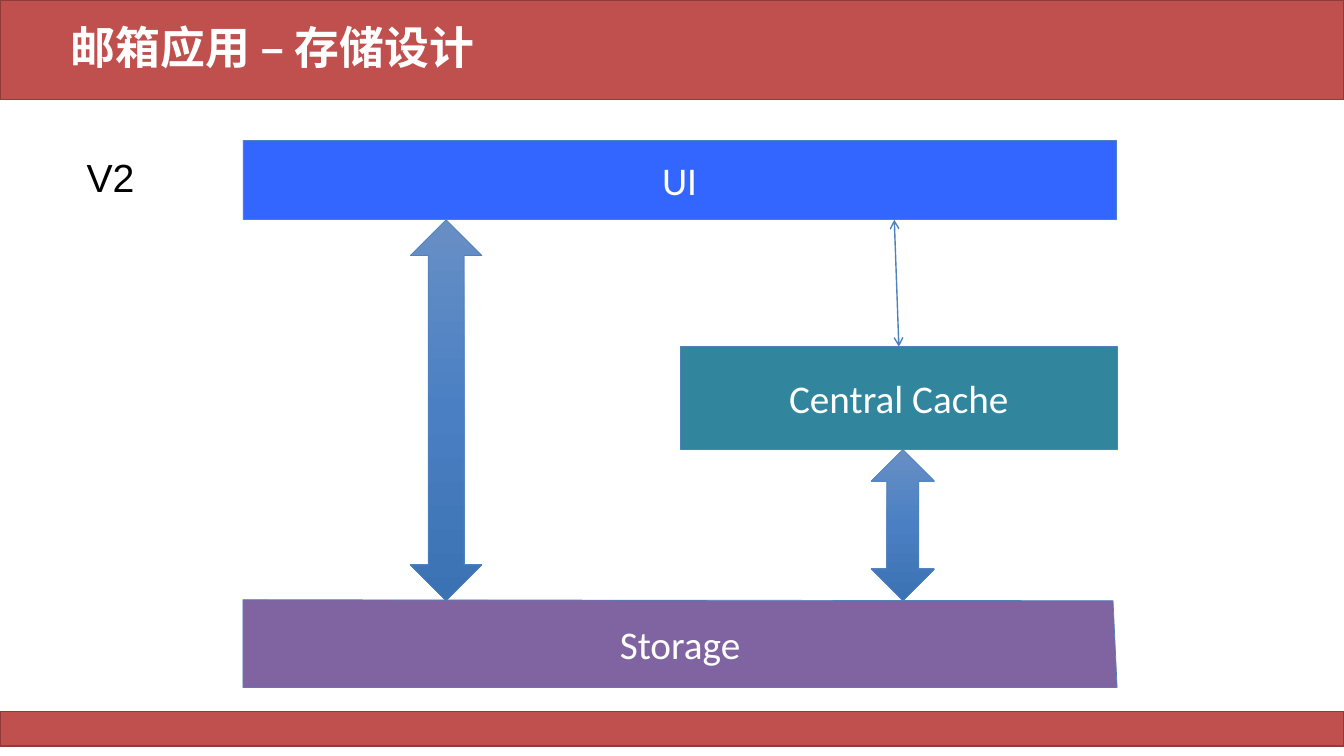
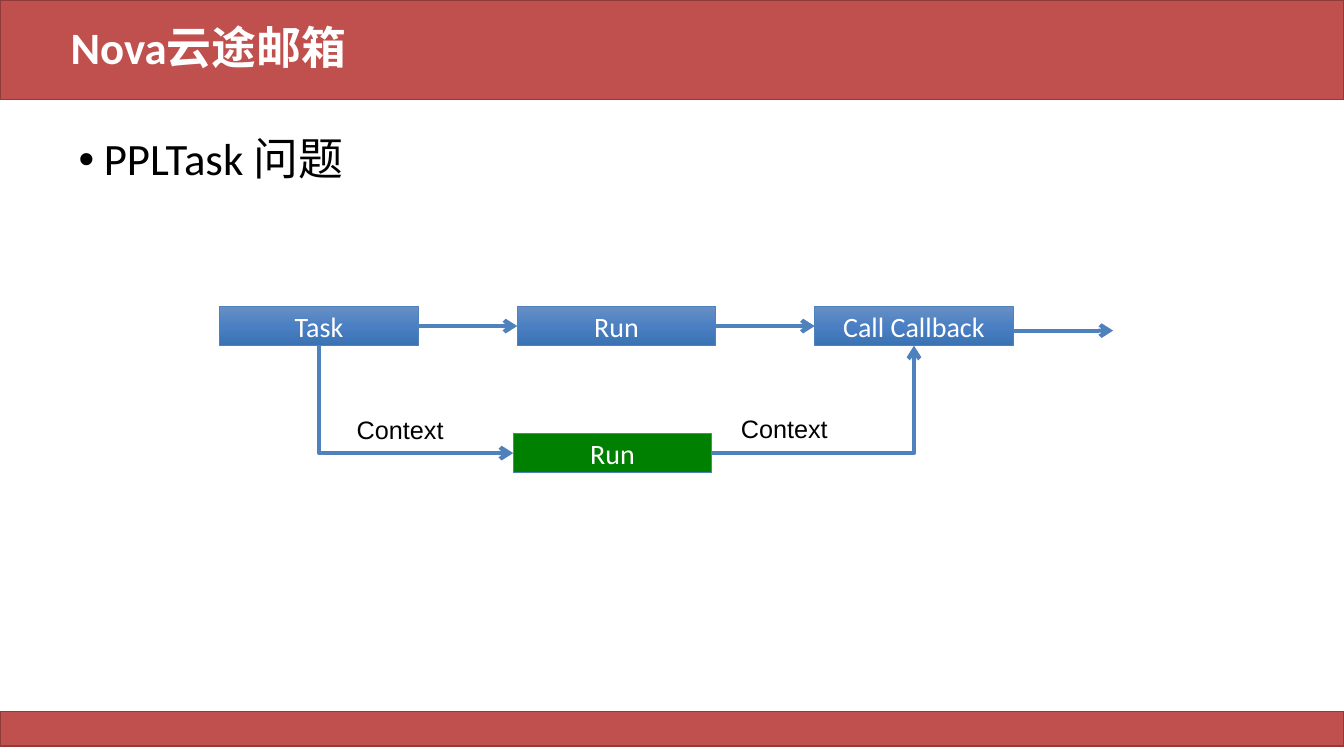
import copy

import pptx
import pptx.util
import pptx.dml.color
import pptx.enum.shapes
import pptx.enum.text
import pptx.oxml
import pptx.oxml.ns

Pt = pptx.util.Pt
RGB = pptx.dml.color.RGBColor
SHAPE = pptx.enum.shapes.MSO_SHAPE
CONNECTOR = pptx.enum.shapes.MSO_CONNECTOR
ALIGN = pptx.enum.text.PP_ALIGN
ANCHOR = pptx.enum.text.MSO_ANCHOR
FIT = pptx.enum.text.MSO_AUTO_SIZE

PX = 9144
WIDTH, HEIGHT = 1333, 750
TOP, LEFT, BOTTOM, RIGHT = range(4)

WHITE = RGB(0xFF, 0xFF, 0xFF)
BLACK = RGB(0x00, 0x00, 0x00)
RED = RGB(0xC0, 0x50, 0x4D)
DARK_RED = RGB(0x8E, 0x3B, 0x39)
LINE_BLUE = RGB(0x4F, 0x81, 0xBD)
UI_BLUE = RGB(0x33, 0x66, 0xFF)
TEAL = RGB(0x31, 0x85, 0x9C)
PURPLE = RGB(0x80, 0x64, 0xA2)
GREEN = RGB(0x00, 0x80, 0x00)
BLUE_GRADIENT = [
    (0, RGB(0x68, 0x8F, 0xC5)),
    (0.5, RGB(0x4A, 0x80, 0xC3)),
    (1, RGB(0x3B, 0x72, 0xB3)),
]

BANDS = [(0, 0, WIDTH, 99), (0, 706, WIDTH, 34)]
TITLE_AREA = (60, 20, 1150, 59)
BODY_AREA = (68, 131, 1228, 528)

STORAGE_TITLE = "邮箱应用 – 存储设计"
LAYERS = [("UI", (241, 139, 866, 79), UI_BLUE),
          ("Central Cache", (675, 344, 433, 102), TEAL)]
STORAGE_OUTLINE = [(241, 595), (1104, 596), (1108, 682), (241, 682)]
BLOCK_ARROWS = [(407, 218, 71, 378), (864, 446, 63, 150)]
UI_LINK_POINT = (887, 218)
VERSION_LABEL = ("V2", (76, 147, 68, 57))

TASK_TITLE = "Nova云途邮箱"
TASK_BULLETS = ["PPLTask 问题"]
STEPS = ["Task", "Run", "Call Callback"]
STEP_LEFT, STEP_TOP, STEP_PITCH = 218, 304, 295
STEP_SIZE = (197, 39)
CONTEXT_RUN = ("Run", (509, 430))
EXIT_ARROW = ((1005, 328), (1104, 328))
CONTEXT_LABELS = [("Context", (344, 406, 110, 40)), ("Context", (725, 405, 110, 40))]


def emu(lengths):
    return [round(length * PX) for length in lengths]


def move(item, area):
    item.left, item.top, item.width, item.height = emu(area)


def write(para, text, size, colour, font="Calibri", bold=False):
    span = para.add_run()
    span.text = text
    span.font.name = font
    span.font.size = Pt(size)
    span.font.bold = bold
    span.font.color.rgb = colour


def paint(shape, fill, line=LINE_BLUE, weight=0.5):
    shape.shadow.inherit = False
    shape.line.color.rgb = line
    shape.line.width = Pt(weight)
    if isinstance(fill, list):
        shape.fill.gradient()
        shape.fill.gradient_angle = 270
        stops = shape._element.xpath(".//a:gsLst")[0]
        stops.append(copy.deepcopy(stops[0]))
        for stop, (position, colour) in zip(shape.fill.gradient_stops, fill):
            stop.position = position
            stop.color.rgb = colour
    else:
        shape.fill.solid()
        shape.fill.fore_color.rgb = fill


def add_caption(shape, text, size):
    frame = shape.text_frame
    frame.word_wrap = True
    frame.vertical_anchor = ANCHOR.MIDDLE
    para = frame.paragraphs[0]
    para.alignment = ALIGN.CENTER
    write(para, text, size, WHITE)


def add_preset(page, preset, area, fill, line=LINE_BLUE, weight=0.5):
    shape = page.shapes.add_shape(preset, *emu(area))
    paint(shape, fill, line, weight)
    return shape


def add_block(page, text, area, fill, size):
    shape = add_preset(page, SHAPE.RECTANGLE, area, fill)
    add_caption(shape, text, size)
    return shape


def add_label(page, text, area, size):
    box = page.shapes.add_textbox(*emu(area))
    box.text_frame.word_wrap = False
    box.text_frame.auto_size = FIT.SHAPE_TO_FIT_TEXT
    write(box.text_frame.paragraphs[0], text, size, BLACK, "Arial")


def side_point(shape, side):
    x = shape.left + shape.width * {LEFT: 0, RIGHT: 2}.get(side, 1) // 2
    y = shape.top + shape.height * {TOP: 0, BOTTOM: 2}.get(side, 1) // 2
    return x, y


def add_arrow(page, begin, end, weight, ends=("tailEnd",), kind=CONNECTOR.STRAIGHT):
    arrow = page.shapes.add_connector(kind, *begin, *end)
    arrow.line.color.rgb = LINE_BLUE
    arrow.line.width = Pt(weight)
    line = arrow.line._get_or_add_ln()
    for name in ends:
        head = pptx.oxml.parse_xml(f'<a:{name} {pptx.oxml.ns.nsdecls("a")} type="arrow"/>')
        line.append(head)
    effects = pptx.oxml.parse_xml(f'<a:effectLst {pptx.oxml.ns.nsdecls("a")}/>')
    arrow._element.spPr.append(effects)
    return arrow


def join(page, source, source_side, target, target_side, elbow=False):
    begin, end = side_point(source, source_side), side_point(target, target_side)
    kind = CONNECTOR.ELBOW if elbow else CONNECTOR.STRAIGHT
    arrow = add_arrow(page, begin, end, 3, kind=kind)
    arrow.begin_connect(source, source_side)
    arrow.end_connect(target, target_side)
    if elbow:
        arrow._element.spPr.find(pptx.oxml.ns.qn("a:prstGeom")).set("prst", "bentConnector2")
    if elbow and source_side == BOTTOM:
        across, down = end[0] - begin[0], end[1] - begin[1]
        arrow.left = begin[0] + (across - down) // 2
        arrow.top = begin[1] + (down - across) // 2
        arrow.width, arrow.height = down, across
        frame = arrow._element.spPr.find(pptx.oxml.ns.qn("a:xfrm"))
        frame.set("rot", "16200000")
        frame.set("flipH", "1")


def add_page(deck, layout, title):
    page = deck.slides.add_slide(deck.slide_layouts.get_by_name(layout))
    box = page.shapes.title
    move(box, TITLE_AREA)
    box.text_frame.auto_size = FIT.NONE
    box.text_frame.vertical_anchor = ANCHOR.MIDDLE
    para = box.text_frame.paragraphs[0]
    para.alignment = ALIGN.LEFT
    para.line_spacing = 0.9
    write(para, title, 32, WHITE, bold=True)
    return page


def add_bands_to_master(deck, page):
    tree = deck.slide_master.shapes._spTree
    for index, area in enumerate(BANDS):
        band = add_preset(page, SHAPE.RECTANGLE, area, RED, DARK_RED, 1)
        tree.insert(2 + index, band._element)


def fill_body(box, bullets):
    move(box, BODY_AREA)
    frame = box.text_frame
    frame.auto_size = FIT.NONE
    for index, text in enumerate(bullets):
        para = frame.add_paragraph() if index else frame.paragraphs[0]
        properties = para._p.get_or_add_pPr()
        properties.set("marL", str(25 * PX))
        properties.set("indent", str(-25 * PX))
        properties.append(pptx.oxml.parse_xml(
            f'<a:buChar {pptx.oxml.ns.nsdecls("a")} char="•"/>'))
        para.line_spacing = 0.9
        para.space_before = Pt(10 if index else 0)
        write(para, text, 32, BLACK)


def draw_storage(page):
    ui, cache = [add_block(page, text, area, fill, 28) for text, area, fill in LAYERS]
    start, *corners = STORAGE_OUTLINE
    outline = page.shapes.build_freeform(*start, scale=PX)
    outline.add_line_segments(corners, close=True)
    storage = outline.convert_to_shape()
    paint(storage, PURPLE)
    add_caption(storage, "Storage", 28)
    for area in BLOCK_ARROWS:
        add_preset(page, SHAPE.UP_DOWN_ARROW, area, BLUE_GRADIENT)
    link = add_arrow(page, side_point(cache, TOP), emu(UI_LINK_POINT), 1,
                     ("headEnd", "tailEnd"))
    link.begin_connect(cache, TOP)
    add_label(page, *VERSION_LABEL, 28)


def draw_tasks(page):
    fill_body(page.placeholders[1], TASK_BULLETS)
    steps = [add_block(page, text, (STEP_LEFT + index * STEP_PITCH, STEP_TOP, *STEP_SIZE),
                       BLUE_GRADIENT, 20)
             for index, text in enumerate(STEPS)]
    text, corner = CONTEXT_RUN
    context_run = add_block(page, text, (*corner, *STEP_SIZE), GREEN, 20)
    for source, target in zip(steps, steps[1:]):
        join(page, source, RIGHT, target, LEFT)
    join(page, steps[0], BOTTOM, context_run, LEFT, elbow=True)
    join(page, context_run, RIGHT, steps[-1], BOTTOM, elbow=True)
    for text, area in CONTEXT_LABELS:
        add_label(page, text, area, 18)
    begin, end = EXIT_ARROW
    add_arrow(page, emu(begin), emu(end), 3)


def main():
    deck = pptx.Presentation()
    deck.slide_width, deck.slide_height = emu((WIDTH, HEIGHT))
    storage_page = add_page(deck, "Title Only", STORAGE_TITLE)
    add_bands_to_master(deck, storage_page)
    draw_storage(storage_page)
    draw_tasks(add_page(deck, "Title and Content", TASK_TITLE))
    deck.save("out.pptx")


if __name__ == "__main__":
    main()
